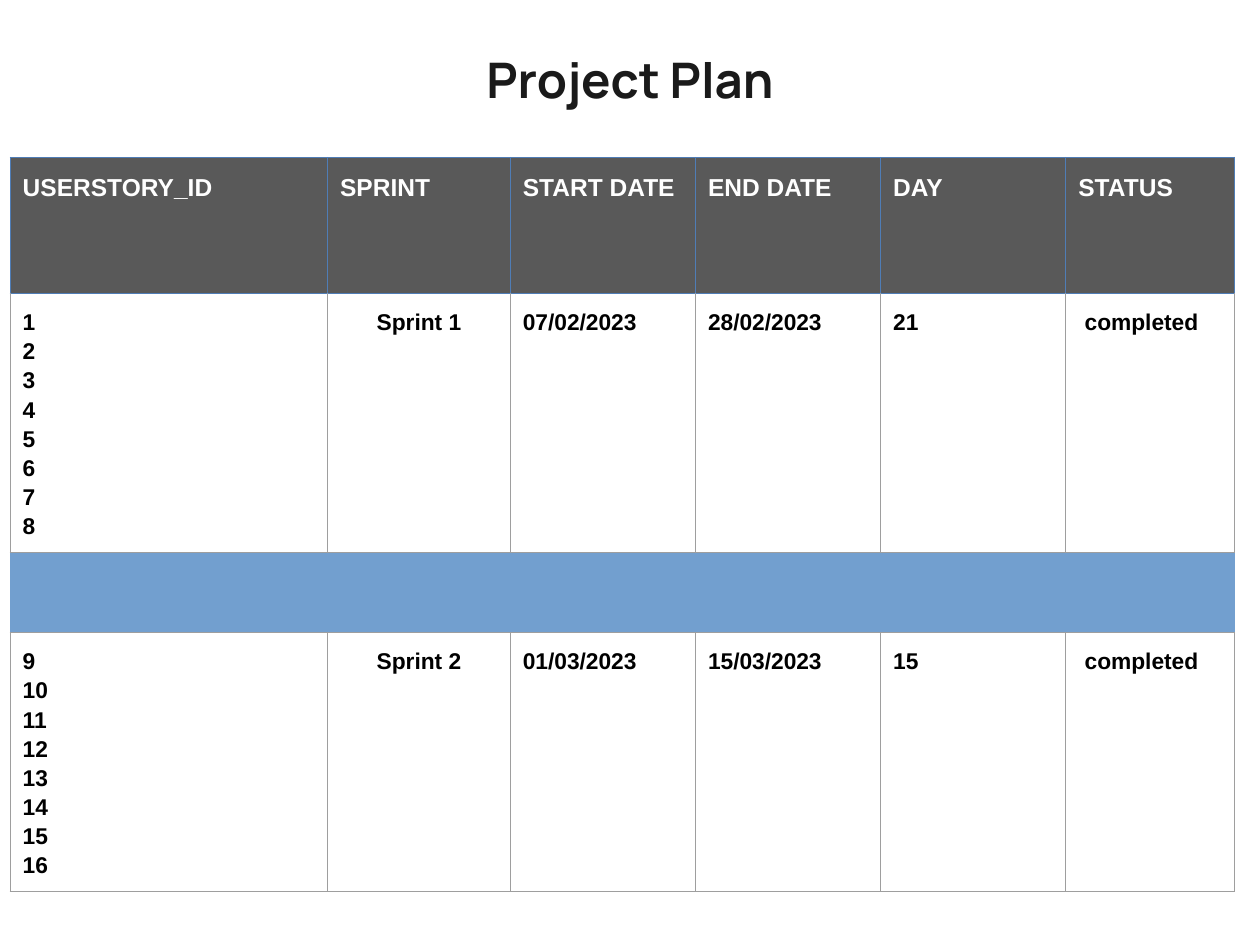
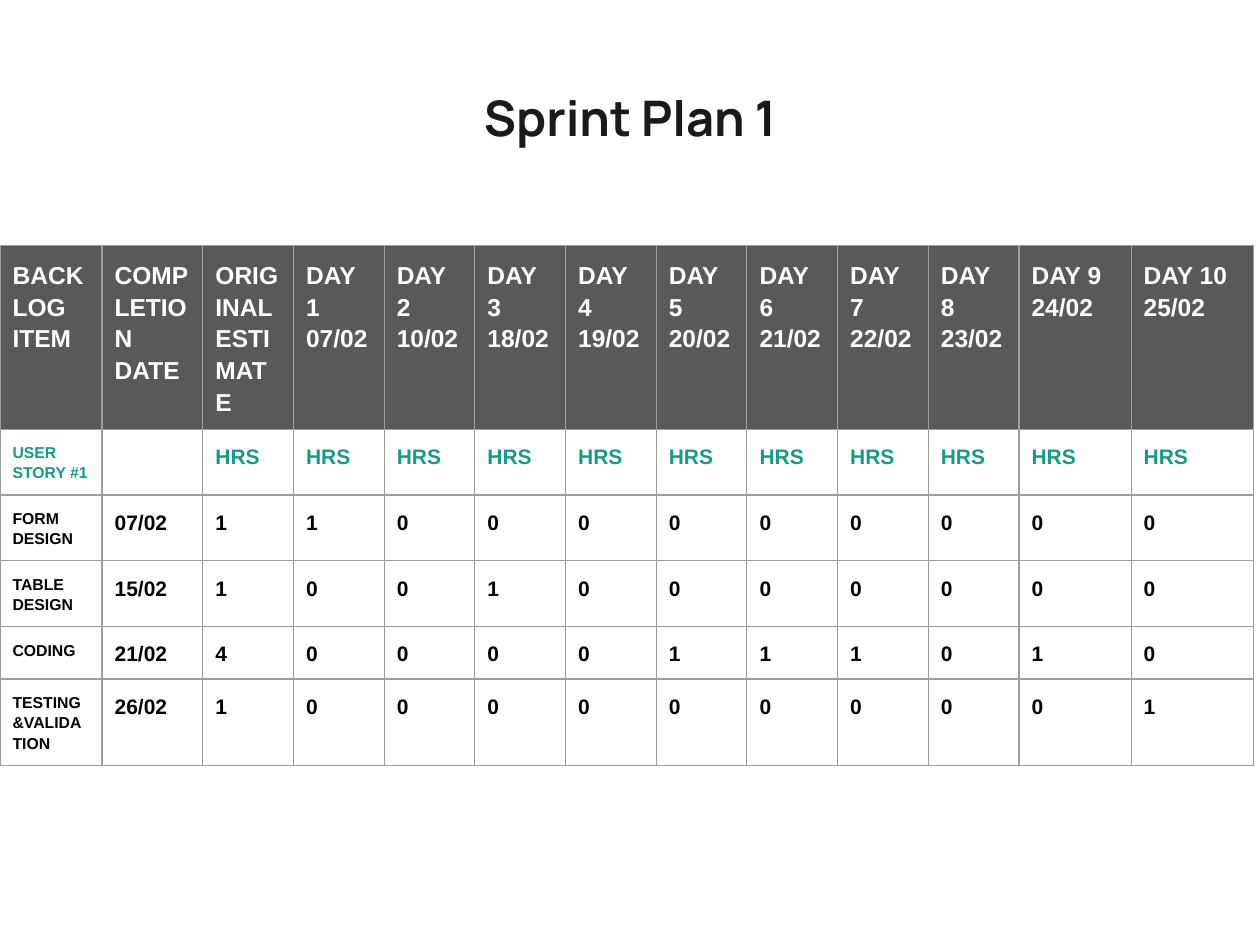
from dataclasses import dataclass

from lxml.etree import SubElement
from pptx import Presentation
from pptx.dml.color import RGBColor
from pptx.enum.text import MSO_ANCHOR, PP_ALIGN
from pptx.oxml.ns import qn
from pptx.util import Inches, Pt

TITLE_FONT, TABLE_FONT = "Manrope", "Arial"
INK, BLACK, WHITE, TEAL = "1A1A1A", "000000", "FFFFFF", "1A9988"
HEADER_FILL, BLUE_LINE, GREY_LINE = "595959", "4F7DB6", "9E9E9E"
NO_STYLE = "{2D5ABB26-0587-4C30-8999-92F81FD0307C}"
SIDES = ("L", "R", "T", "B")


@dataclass(frozen=True)
class CellStyle:
    size: int
    color: str = BLACK
    fill: str | None = None
    line: str = GREY_LINE
    top_line: str | None = None
    align: PP_ALIGN | None = None


@dataclass(frozen=True)
class TablePlan:
    left: float
    top: float
    cols: list[float]
    rows: list[float]


def rgb(color: str) -> RGBColor:
    return RGBColor.from_string(color)


def add_title_slide(prs, title: str, top: float):
    s = prs.slides.add_slide(prs.slide_layouts[5])
    s.background.fill.solid()
    s.background.fill.fore_color.rgb = rgb(WHITE)
    sp = s.shapes.title
    sp.left, sp.top, sp.width, sp.height = map(Inches, (0.5, top, 9, 1.25))
    tf = sp.text_frame
    tf.text = title
    tf.vertical_anchor = MSO_ANCHOR.MIDDLE
    p = tf.paragraphs[0]
    p.alignment = PP_ALIGN.CENTER
    font = p.runs[0].font
    font.name, font.size, font.bold = TITLE_FONT, Pt(28), True
    font.color.rgb = rgb(INK)
    return s


def add_plan_table(s, plan: TablePlan):
    """Add an unstyled table with the plan's column widths and row heights."""
    frame = s.shapes.add_table(
        len(plan.rows), len(plan.cols), Inches(plan.left), Inches(plan.top),
        Inches(sum(plan.cols)), Inches(sum(plan.rows)))
    table = frame.table
    table.first_row = table.horz_banding = False
    frame._element.find(f".//{qn('a:tableStyleId')}").text = NO_STYLE
    for col, width in zip(table.columns, plan.cols):
        col.width = Inches(width)
    for row, height in zip(table.rows, plan.rows):
        row.height = Inches(height)
    return table


def set_borders(cell, style: CellStyle) -> None:
    tc_pr = cell._tc.get_or_add_tcPr()
    for i, side in enumerate(SIDES):
        color = style.top_line if side == "T" and style.top_line else style.line
        ln = SubElement(tc_pr, qn(f"a:ln{side}"), w=str(Pt(0.75)))
        SubElement(SubElement(ln, qn("a:solidFill")), qn("a:srgbClr"), val=color)
        tc_pr.insert(i, ln)


def fill_cell(cell, text: str, style: CellStyle) -> None:
    cell.margin_left = cell.margin_right = Inches(0.1)
    cell.margin_top = cell.margin_bottom = Inches(0.1)
    if style.fill:
        cell.fill.solid()
        cell.fill.fore_color.rgb = rgb(style.fill)
    else:
        cell.fill.background()
    set_borders(cell, style)
    if not text:
        return
    cell.text_frame.text = text
    for p in cell.text_frame.paragraphs:
        p.line_spacing = 1.15
        p.alignment = style.align
        for r in p.runs:
            r.font.name, r.font.size, r.font.bold = TABLE_FONT, Pt(style.size), True
            r.font.color.rgb = rgb(style.color)


def build_project_plan(prs) -> None:
    s = add_title_slide(prs, "Project Plan", 0)
    table = add_plan_table(s, TablePlan(
        0.08, 1.25, [2.52, 1.45, 1.47, 1.47, 1.47, 1.34], [1.08, 0.64, 0.64, 0.64, 0.69]))
    header = CellStyle(14, WHITE, HEADER_FILL, BLUE_LINE)
    headings = ["USERSTORY_ID", "SPRINT", "START DATE", "END DATE", "DAY", "STATUS"]
    for c, heading in enumerate(headings):
        fill_cell(table.cell(0, c), heading, header)

    sprints = [
        (range(1, 9), "Sprint 1", "07/02/2023", "28/02/2023", "21"),
        (range(9, 17), "Sprint 2", "01/03/2023", "15/03/2023", "15"),
    ]
    for i, (stories, *details) in enumerate(sprints):
        top_row = 1 + 2 * i
        top_line = BLUE_LINE if i == 0 else None
        texts = ["\n".join(map(str, stories)), *details, " completed"]
        for c, text in enumerate(texts):
            cell = table.cell(top_row, c)
            cell.merge(table.cell(top_row + 1, c))
            align = PP_ALIGN.CENTER if headings[c] == "SPRINT" else None
            fill_cell(cell, text, CellStyle(13, top_line=top_line, align=align))


def build_sprint_plan(prs) -> None:
    s = add_title_slide(prs, "Sprint Plan 1", 0.3)
    table = add_plan_table(s, TablePlan(
        0, 1.95, [0.81, 0.8] + [0.72] * 9 + [0.89, 0.97], [1.16] + [0.3] * 5))
    headings = [
        "BACKLOG ITEM", "COMPLETION DATE", "ORIGINAL ESTIMATE",
        "DAY 1\n07/02", "DAY 2\n10/02", "DAY 3\n18/02", "DAY 4\n19/02", "DAY 5\n20/02",
        "DAY 6\n21/02", "DAY 7\n22/02", "DAY\n8\n23/02", "DAY 9\n24/02", "DAY 10\n25/02",
    ]
    for c, heading in enumerate(headings):
        fill_cell(table.cell(0, c), heading, CellStyle(14, WHITE, HEADER_FILL))

    tasks = [
        ("USER STORY #1", "", ["HRS"] * 11),
        ("FORM DESIGN", "07/02", "11000000000"),
        ("TABLE DESIGN", "15/02", "10010000000"),
        ("CODING", "21/02", "40000111010"),
        ("TESTING&VALIDATION", "26/02", "10000000001"),
    ]
    for row, (item, date, hours) in enumerate(tasks, 1):
        color = TEAL if row == 1 else BLACK
        for c, text in enumerate([item, date, *hours]):
            fill_cell(table.cell(row, c), text, CellStyle(9 if c == 0 else 12, color))


def main() -> None:
    prs = Presentation()
    prs.slide_width, prs.slide_height = Inches(10), Inches(7.5)
    build_project_plan(prs)
    build_sprint_plan(prs)
    prs.save("out.pptx")


if __name__ == "__main__":
    main()
